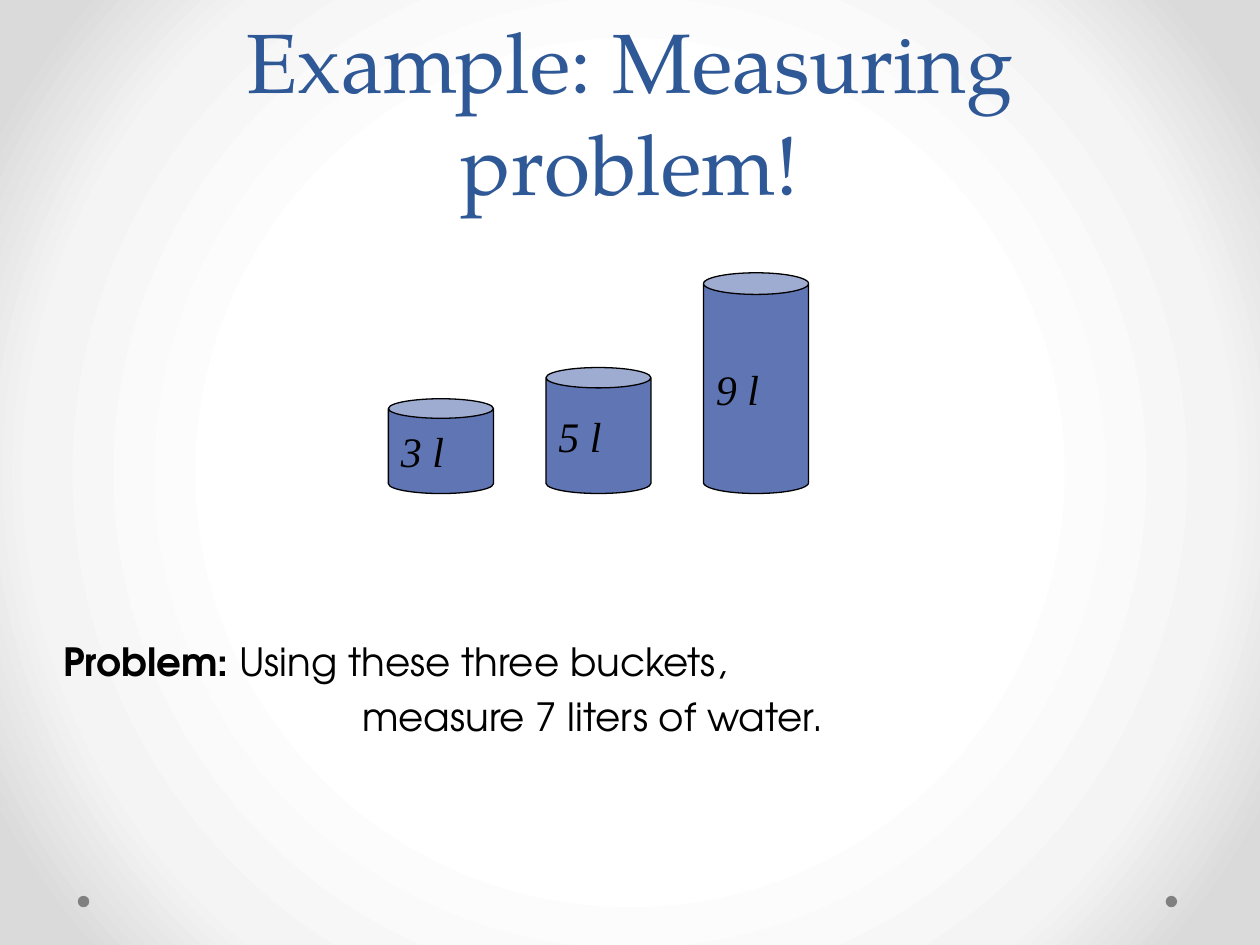
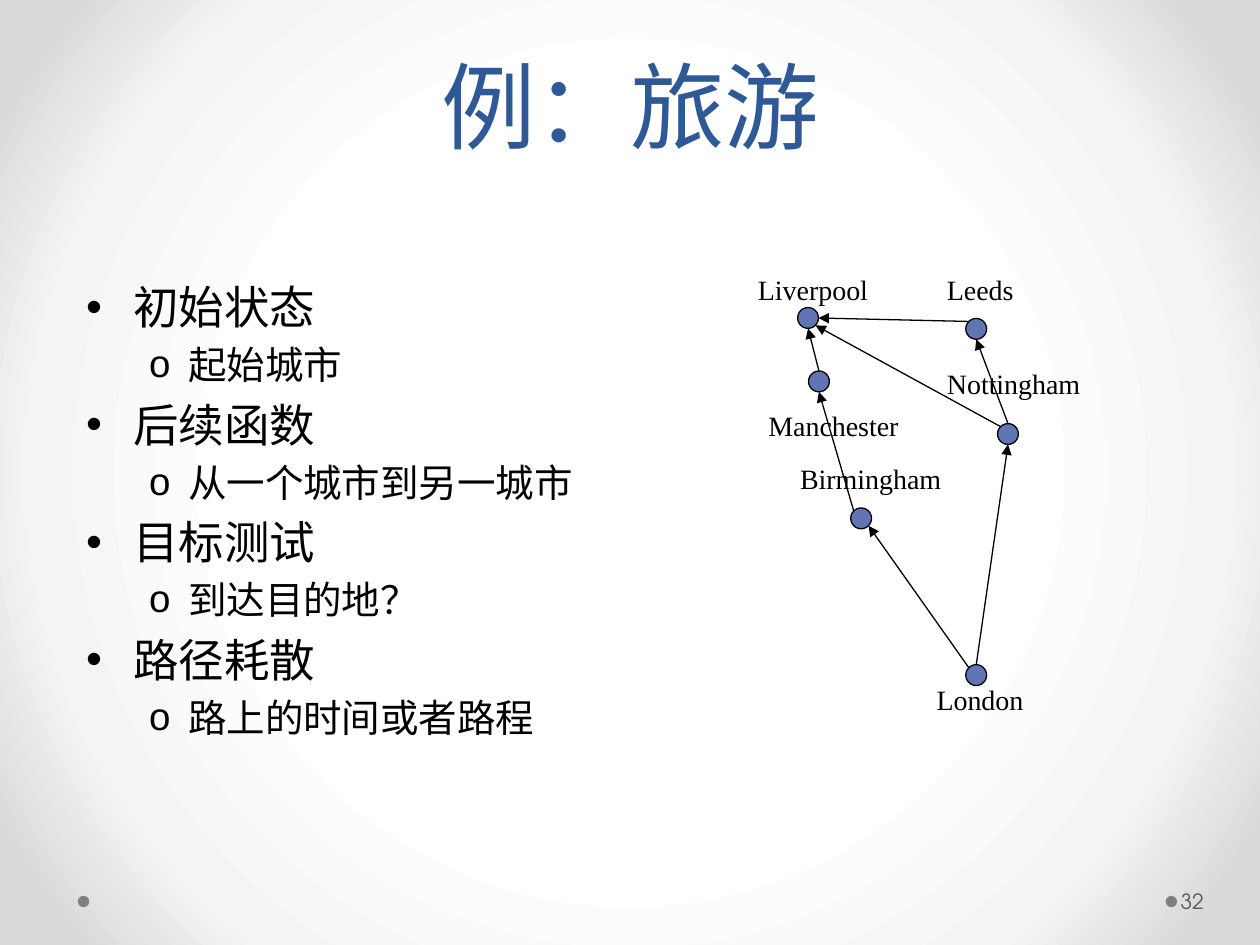
from typing import NamedTuple

from lxml.etree import SubElement
from pptx import Presentation
from pptx.dml.color import RGBColor
from pptx.enum.shapes import MSO_CONNECTOR, MSO_SHAPE
from pptx.enum.text import MSO_ANCHOR, MSO_AUTO_SIZE, PP_ALIGN
from pptx.oxml import parse_xml
from pptx.oxml.ns import nsdecls, qn
from pptx.util import Cm, Pt

COLORS = {
    "title": "2F5897",
    "text": "000000",
    "fill": "6076B4",
    "line": "000000",
    "dot": "808080",
    "number": "595959",
    "center": "FFFFFF",
    "middle": "F4F4F4",
    "edge": "DADADA",
}
TITLE_FONT = "TeX Gyre Pagella"
BODY_FONT = "TeX Gyre Adventor"
LABEL_FONT = "Times New Roman"


class Box(NamedTuple):
    """Rectangle in centimetres."""
    left: float
    top: float
    width: float
    height: float

    def lengths(self):
        """Return the four sides as slide lengths."""
        return [Cm(value) for value in self]


class City(NamedTuple):
    """Node centre and label place, relative to the map."""
    x: float
    y: float
    label_left: float
    label_top: float


TITLE_BOX = Box(1.27, 0, 22.86, 4.45)
DOTS = [Box(23.5, 18.06, 0.23, 0.23), Box(1.57, 18.06, 0.23, 0.23)]

BUCKETS = [("3 l", 1.91, 0.206), ("5 l", 2.54, 0.194), ("9 l", 4.45, 0.206)]

STATE_LIST = [
    ("初始状态", "起始城市"),
    ("后续函数", "从一个城市到另一城市"),
    ("目标测试", "到达目的地？"),
    ("路径耗散", "路上的时间或者路程"),
]

CITIES = {
    "Liverpool": City(1.26, 1.04, 0, 0),
    "London": City(4.65, 8.24, 3.6, 8.26),
    "Nottingham": City(5.29, 3.38, 3.81, 1.9),
    "Leeds": City(4.65, 1.26, 3.81, 0),
    "Birmingham": City(2.33, 5.08, 0.85, 3.81),
    "Manchester": City(1.48, 2.32, 0.21, 2.74),
}
NODE_RADIUS = 0.21
SIDES = {
    "top": (0, -1),
    "bottom": (0, 1),
    "right": (1, 0),
    "top left": (-0.71, -0.71),
    "bottom right": (0.71, 0.71),
}
ROADS = [
    ("London", "top left", "Birmingham", "bottom right"),
    ("Birmingham", "top left", "Manchester", "bottom"),
    ("Manchester", "top", "Liverpool", "bottom"),
    ("London", "top", "Nottingham", "bottom"),
    ("Nottingham", "top", "Leeds", "bottom"),
    ("Leeds", "top left", "Liverpool", "right"),
    ("Nottingham", "top left", "Liverpool", "bottom right"),
]


def color(name):
    """Look up a colour by its role."""
    return RGBColor.from_string(COLORS[name])


def add_span(para, text, font, size, role="text", bold=False, italic=False):
    """Add one formatted run."""
    span = para.add_run()
    span.text = text
    span.font.name = font
    span.font.size = Pt(size)
    span.font.color.rgb = color(role)
    span.font.bold = bold
    span.font.italic = italic


def add_solid(shapes, kind, box, fill, outlined=True):
    """Add a flat preset shape."""
    shape = shapes.add_shape(kind, *box.lengths())
    shape.shadow.inherit = False
    shape.fill.solid()
    shape.fill.fore_color.rgb = color(fill)
    if outlined:
        shape.line.color.rgb = color("line")
        shape.line.width = Pt(0.75)
    else:
        shape.line.fill.background()
    return shape


def add_label(shapes, box, text, font, size, role="text"):
    """Add a wrapped one-line text box."""
    label = shapes.add_textbox(*box.lengths())
    label.text_frame.word_wrap = True
    add_span(label.text_frame.paragraphs[0], text, font, size, role)
    return label


def place(holder, box):
    """Move a placeholder and return its emptied text frame."""
    holder.left, holder.top, holder.width, holder.height = box.lengths()
    holder.text_frame.auto_size = MSO_AUTO_SIZE.NONE
    return holder.text_frame


def indent(para, left, hanging=0, bullet=None):
    """Set the margin, hanging indent and bullet of a paragraph."""
    props = para._p.get_or_add_pPr()
    props.set("marL", str(Cm(left)))
    props.set("indent", str(-Cm(hanging)))
    if bullet:
        SubElement(props, qn("a:buChar")).set("char", bullet)
    else:
        SubElement(props, qn("a:buNone"))


def style_master(deck, page):
    """Give the master its glow background and footer dots."""
    master = deck.slide_master
    master.background.fill.solid()
    plain = master.element.xpath(".//p:bgPr/a:solidFill")[0]
    stops = "".join(
        f'<a:gs pos="{place_at * 1000}"><a:srgbClr val="{COLORS[role]}"/></a:gs>'
        for place_at, role in [(50, "center"), (76, "middle"), (92, "edge")])
    glow = parse_xml(
        f'<a:gradFill {nsdecls("a")} rotWithShape="1"><a:gsLst>{stops}</a:gsLst>'
        '<a:path path="circle"><a:fillToRect l="50000" t="50000" r="50000" '
        'b="50000"/></a:path></a:gradFill>')
    plain.getparent().replace(plain, glow)
    for box in DOTS:
        dot = add_solid(page.shapes, MSO_SHAPE.OVAL, box, "dot", outlined=False)
        master.shapes.element.append(dot.element)


def add_page(deck, title, size):
    """Add a slide with its styled title."""
    page = deck.slides.add_slide(deck.slide_layouts[1])
    frame = place(page.shapes.title, TITLE_BOX)
    frame.vertical_anchor = MSO_ANCHOR.MIDDLE
    para = frame.paragraphs[0]
    para.alignment = PP_ALIGN.CENTER
    para.line_spacing = Pt(58)
    add_span(para, title, TITLE_FONT, size, "title")
    return page


def add_problem(page, box):
    """Write the problem statement."""
    frame = place(page.placeholders[1], box)
    first, second = frame.paragraphs[0], frame.add_paragraph()
    indent(first, 0.95, 0.95)
    first.space_before = Pt(0)
    add_span(first, "Problem:", BODY_FONT, 22.2, bold=True)
    add_span(first, " Using these three buckets,", BODY_FONT, 22.2)
    indent(second, 6.03)
    add_span(second, "measure 7 liters of water.", BODY_FONT, 22.2)


def add_buckets(page, box):
    """Stand the buckets on the bottom of the box, half a width apart."""
    group = page.shapes.add_group_shape()
    width = box.width / (1.5 * len(BUCKETS) - 0.5)
    for index, (volume, height, lid) in enumerate(BUCKETS):
        left = box.left + index * 1.5 * width
        top = box.top + box.height - height
        bucket = add_solid(group.shapes, MSO_SHAPE.CAN, Box(left, top, width, height), "fill")
        bucket.adjustments[0] = lid
        frame = bucket.text_frame
        frame.word_wrap = False
        frame.vertical_anchor = MSO_ANCHOR.MIDDLE
        para = frame.paragraphs[0]
        para.alignment = PP_ALIGN.LEFT
        add_span(para, volume, LABEL_FONT, 24, italic=True)


def add_state_list(page, box):
    """Write the two-level list."""
    frame = place(page.placeholders[1], box)
    for index, (topic, detail) in enumerate(STATE_LIST):
        para = frame.add_paragraph() if index else frame.paragraphs[0]
        indent(para, 0.95, 0.95, "•")
        if index == 0:
            para.space_before = Pt(0)
        add_span(para, topic, BODY_FONT, 26)
        para = frame.add_paragraph()
        para.level = 1
        indent(para, 2.06, 0.79, "o")
        add_span(para, detail, BODY_FONT, 22)


def add_road(shapes, box, start, start_side, end, end_side):
    """Draw an arrow between the rims of two city nodes."""
    ends = []
    for name, side in [(start, start_side), (end, end_side)]:
        city, (across, down) = CITIES[name], SIDES[side]
        ends += [Cm(box.left + city.x + across * NODE_RADIUS),
                 Cm(box.top + city.y + down * NODE_RADIUS)]
    road = shapes.add_connector(MSO_CONNECTOR.STRAIGHT, *ends)
    road.line.color.rgb = color("line")
    road.line.width = Pt(0.75)
    props = road.element.spPr
    SubElement(props.find(qn("a:ln")), qn("a:tailEnd")).set("type", "triangle")
    SubElement(props, qn("a:effectLst"))


def add_map(page, box):
    """Draw the cities, their names and the roads."""
    shapes = page.shapes.add_group_shape().shapes
    for city in CITIES.values():
        node = Box(box.left + city.x - NODE_RADIUS, box.top + city.y - NODE_RADIUS,
                   2 * NODE_RADIUS, 2 * NODE_RADIUS)
        add_solid(shapes, MSO_SHAPE.OVAL, node, "fill")
    for name, city in CITIES.items():
        label = Box(box.left + city.label_left, box.top + city.label_top, 3.6, 0.94)
        add_label(shapes, label, name, LABEL_FONT, 16)
    for road in ROADS:
        add_road(shapes, box, *road)


def add_number(page, box, number):
    """Write the slide number."""
    label = add_label(page.shapes, box, number, BODY_FONT, 12, "number")
    label.text_frame.margin_left = Cm(0.08)
    label.text_frame.margin_right = Cm(0.13)
    label.text_frame.vertical_anchor = MSO_ANCHOR.MIDDLE


def main():
    """Build and save the deck."""
    deck = Presentation()
    deck.slide_width, deck.slide_height = Cm(25.4), Cm(19.05)

    page = add_page(deck, "Example: Measuring problem!", 48)
    style_master(deck, page)
    add_problem(page, Box(1.02, 12.73, 23.62, 2.16))
    add_buckets(page, Box(7.83, 5.5, 8.47, 4.45))

    page = add_page(deck, "例：旅游", 54)
    add_state_list(page, Box(1.48, 5.5, 12.07, 10.37))
    add_number(page, Box(23.72, 17.65, 1.55, 1.02), "32")
    add_map(page, Box(15.03, 5.37, 7.41, 9.2))

    deck.save("out.pptx")


if __name__ == "__main__":
    main()
